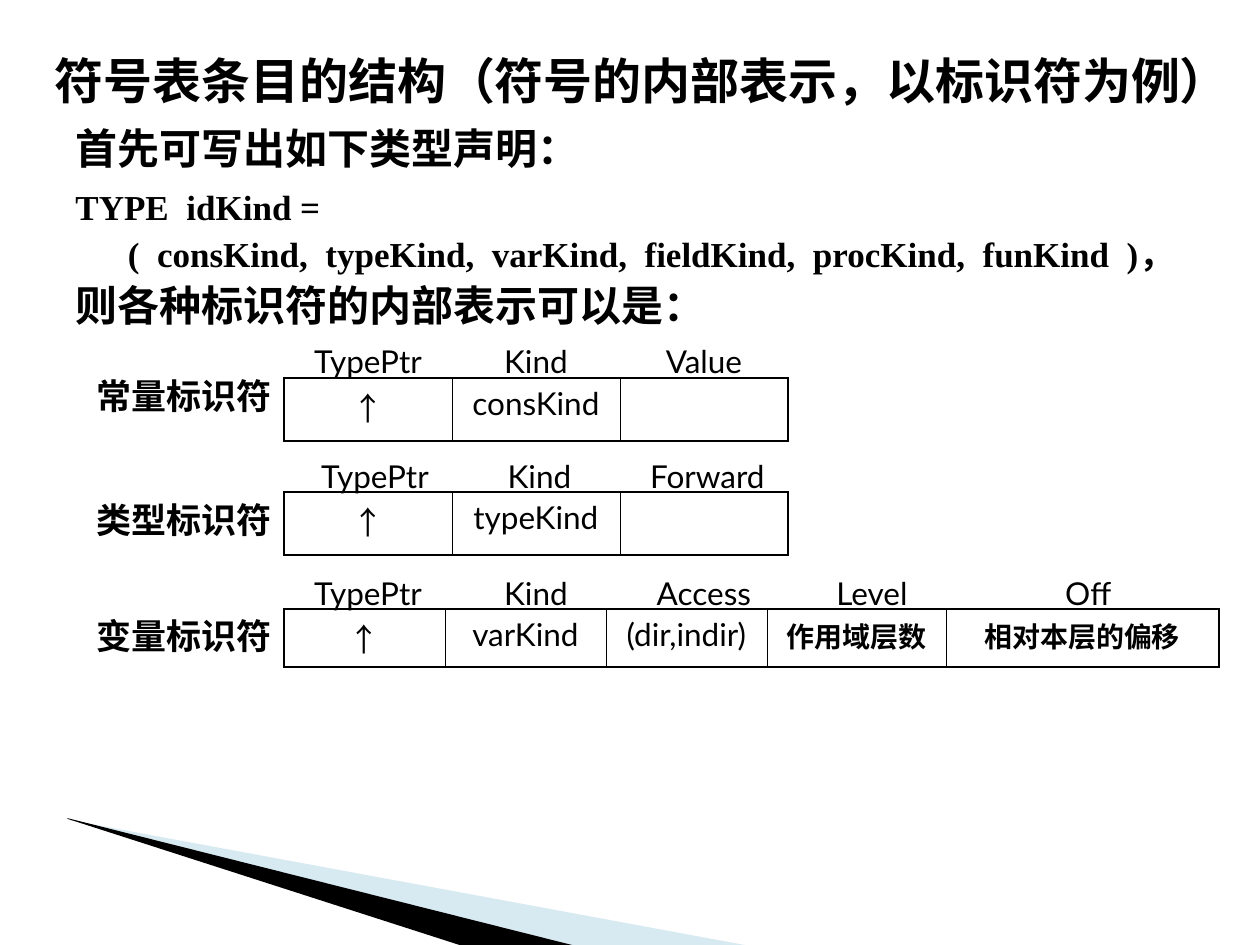
from lxml.etree import SubElement
from pptx import Presentation
from pptx.dml.color import RGBColor
from pptx.enum.text import MSO_ANCHOR, MSO_AUTO_SIZE, PP_ALIGN
from pptx.oxml import parse_xml
from pptx.oxml.ns import nsdecls, qn
from pptx.util import Pt

PX = 914400 / 126
SERIF, SANS, CJK = "Times New Roman", "Lato", "Noto Sans CJK SC"
BLACK = "000000"


def px(length):
    return round(length * PX)


def color(hex_code):
    return RGBColor.from_string(hex_code)


def format_paragraph(paragraph, size, face, bold=False, align=PP_ALIGN.LEFT, before=0):
    paragraph.alignment = align
    paragraph.space_before = Pt(before)
    for run in paragraph.runs:
        run.font.size = Pt(size)
        run.font.name = face
        run.font.bold = bold
        run.font.color.rgb = color(BLACK)
        east_asian = SubElement(run.font._element, qn("a:ea"))
        east_asian.set("typeface", CJK)


def fill_frame(frame, lines):
    frame.word_wrap = True
    frame.auto_size = MSO_AUTO_SIZE.NONE
    frame.vertical_anchor = MSO_ANCHOR.TOP
    frame.text = "\n".join(text for text, _, _ in lines)
    for paragraph, (_, size, before) in zip(frame.paragraphs, lines):
        format_paragraph(paragraph, size, SERIF, bold=True, before=before)


def add_title(slide, text):
    title = slide.shapes.title
    title.left, title.top, title.width, title.height = map(px, (42, 44, 1218, 72))
    fill_frame(title.text_frame, [(text, 28, 0)])


def add_text(slide, box, lines):
    fill_frame(slide.shapes.add_textbox(*map(px, box)).text_frame, lines)


def add_wedge(slide, points, hex_code, opacity=100):
    start, *rest = points
    builder = slide.shapes.build_freeform(*start, scale=PX)
    builder.add_line_segments(rest, close=True)
    wedge = builder.convert_to_shape()
    wedge.shadow.inherit = False
    wedge.line.fill.background()
    wedge.fill.solid()
    wedge.fill.fore_color.rgb = color(hex_code)
    if opacity < 100:
        shade = wedge.fill._xPr.find(".//" + qn("a:srgbClr"))
        SubElement(shade, qn("a:alpha")).set("val", str(opacity * 1000))


def set_borders(cell, widths):
    properties = cell._tc.get_or_add_tcPr()
    for position, (side, width) in enumerate(zip("LRTB", widths)):
        paint = f'<a:solidFill><a:srgbClr val="{BLACK}"/></a:solidFill>' if width else "<a:noFill/>"
        border = parse_xml(f'<a:ln{side} {nsdecls("a")} w="{Pt(width)}">{paint}</a:ln{side}>')
        properties.insert(position, border)


def add_row(slide, left, top, height, widths, texts, boxed=False, last_align=PP_ALIGN.CENTER):
    last = len(widths) - 1
    frame = slide.shapes.add_table(
        1, len(widths), px(left), px(top), px(sum(widths)), px(height))
    table = frame.table
    table.first_row = table.horz_banding = False
    table.rows[0].height = px(height)
    for index, (width, text) in enumerate(zip(widths, texts)):
        table.columns[index].width = px(width)
        cell = table.cell(0, index)
        cell.fill.background()
        cell.text = text
        chinese = "一" <= text[:1] <= "龥"
        format_paragraph(
            cell.text_frame.paragraphs[0],
            16 if chinese else 18,
            CJK if text == "↑" else SANS,
            bold=chinese,
            align=last_align if index == last else PP_ALIGN.CENTER)
        edges = (1.08 if index == 0 else 0.45, 1.08 if index == last else 0.45, 1.08, 1.08)
        set_borders(cell, edges if boxed else (0, 0, 0, 0))


def main():
    presentation = Presentation()
    presentation.slide_width, presentation.slide_height = px(1260), px(945)
    slide = presentation.slides.add_slide(presentation.slide_layouts[5])

    add_wedge(slide, [(69, 820), (750, 946), (575, 946), (69, 819)], "9FCBDC", 40)
    add_wedge(slide, [(67, 818), (576, 946), (469, 948), (68, 819)], BLACK)

    add_title(slide, "符号表条目的结构（符号的内部表示，以标识符为例）")
    add_text(slide, (63, 116, 1166, 220), [
        ("首先可写出如下类型声明：", 24, 0),
        ("TYPE  idKind =", 20, 7.5),
        ("      (  consKind,  typeKind,  varKind,  fieldKind,  procKind,  funKind  )，", 20, 2.5),
        ("则各种标识符的内部表示可以是：", 24, 3),
    ])

    thirds = [168] * 3
    variable_widths = [161, 161, 161, 179, 273]
    add_row(slide, 284, 378, 63, thirds, ["↑", "consKind", ""], boxed=True)
    add_row(slide, 284, 492, 63, thirds, ["↑", "typeKind", ""], boxed=True)
    add_row(slide, 284, 609, 51, variable_widths,
            ["↑", "varKind", "(dir,indir)", "作用域层数", "相对本层的偏移"], boxed=True)

    add_row(slide, 284, 336, 53, thirds, ["TypePtr", "Kind", "Value"])
    add_row(slide, 291, 451, 53, [168, 161, 175], ["TypePtr", "Kind", "Forward"])
    add_row(slide, 284, 568, 53, [168] * 5,
            ["TypePtr", "Kind", "Access", "Level", "Off"], last_align=PP_ALIGN.RIGHT)

    for label, top in [("常量标识符", 368), ("类型标识符", 492), ("变量标识符", 608)]:
        add_text(slide, (84, top, 210, 55), [(label, 20, 0)])

    presentation.save("out.pptx")


if __name__ == "__main__":
    main()
